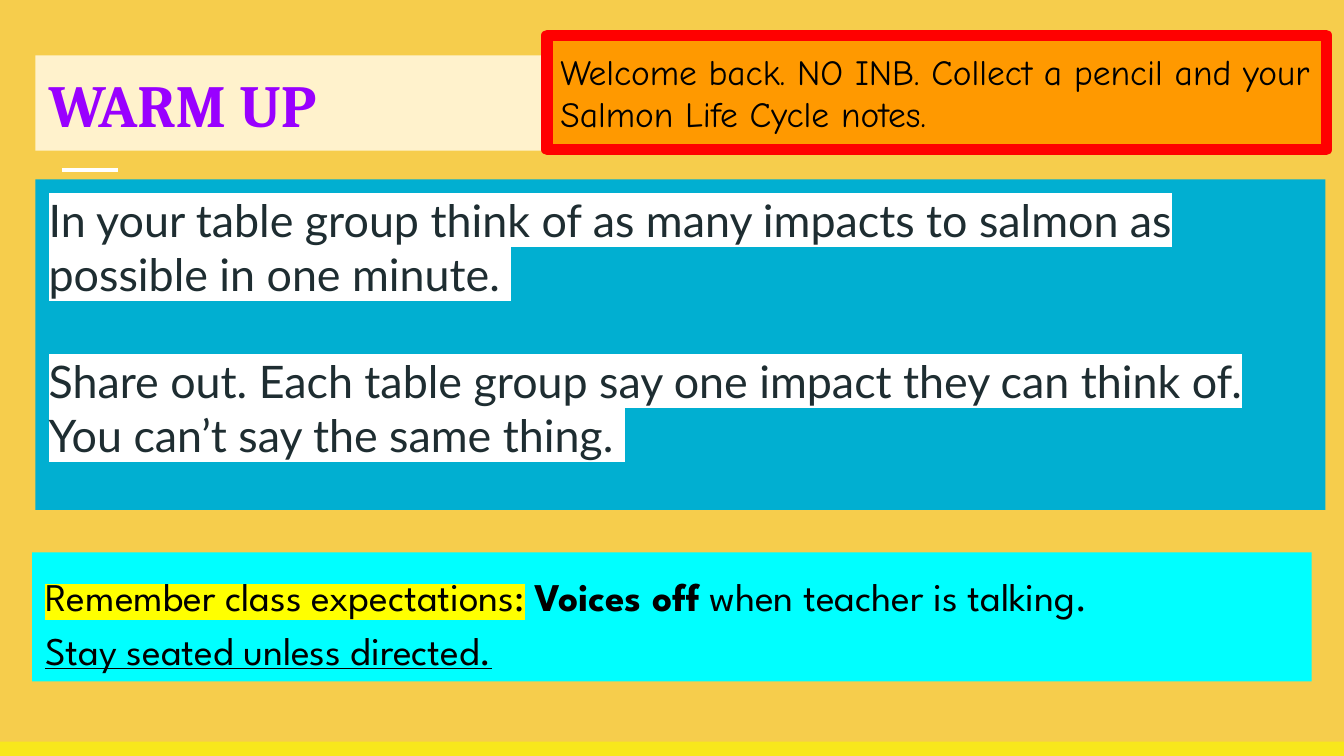
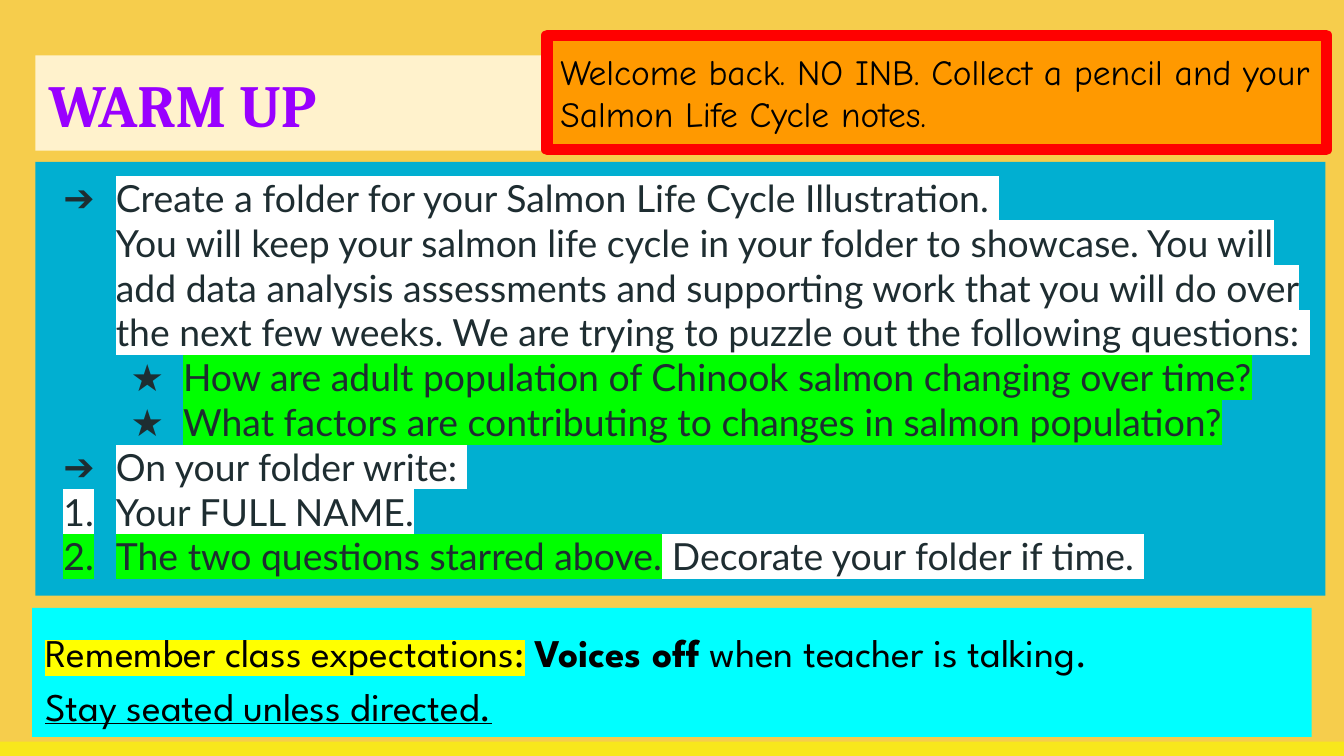
from lxml import etree
from pptx import Presentation
from pptx import util as u
from pptx.dml.color import RGBColor
from pptx.enum import shapes, text
from pptx.oxml import ns

COLORS = {
    "page": "F6CD4C", "band": "F8E71C", "cream": "FFF2CC", "purple": "9900FF",
    "cyan": "00FFFF", "orange": "FF9900", "red": "FF0000", "blue": "01AFD1",
    "ink": "1E2D31", "black": "000000", "white": "FFFFFF", "yellow": "FFFF00",
    "green": "00FF00",
}
STYLES = {
    "title": ("Cambria", 32, "purple"),
    "notice": ("Comic Neue", 19, "black"),
    "footer": ("League Spartan", 21, "black"),
    "prompt": ("Lato", 24, "ink"),
    "steps": ("Lato", 20, "ink"),
}
WIDTH, HEIGHT = 25.4, 14.29
BAND_H = 0.27
LEFT = 0.67
LEVEL_INDENT, HANG = 1.27, 0.99

TITLE = [{"runs": [("WARM UP", {"bold": True})]}]
NOTICE = [{"runs": [("Welcome back. NO INB. Collect a pencil and your Salmon Life Cycle notes.", {})]}]
FOOTER = [
    {"spacing": 1.15, "runs": [
        ("Remember class expectations:", {"mark": "yellow"}),
        (" ", {}),
        ("Voices off", {"bold": True}),
        (" when teacher is talking.", {}),
    ]},
    {"spacing": 1.15, "runs": [("Stay seated unless directed.", {"underline": True})]},
]
WHITE, GREEN = {"mark": "white"}, {"mark": "green"}
SLIDES = [
    {"style": "prompt", "body": (3.39, 6.25), "footer_top": 10.44, "rule": True, "text": [
        {"runs": [("In your table group think of as many impacts to salmon as possible in one minute. ", WHITE)]},
        {"before": 28.8, "runs": [
            ("Share out. Each table group say one impact they can think of. You can’t say the same thing. ", WHITE)]},
    ]},
    {"style": "steps", "body": (3.06, 8.2), "footer_top": 11.49, "rule": False, "text": [
        {"level": 1, "bullet": "➔", "runs": [("Create a folder for your Salmon Life Cycle Illustration. ", WHITE)]},
        {"level": 1, "runs": [
            ("You will keep your salmon life cycle in your folder to showcase. You will add data analysis "
             "assessments and supporting work that you will do over the next few weeks. We are trying to "
             "puzzle out the following questions: ", WHITE)]},
        {"level": 2, "bullet": "★", "runs": [
            ("How are adult population of Chinook salmon changing over time?", GREEN)]},
        {"level": 2, "bullet": "★", "runs": [
            ("What factors are contributing to changes in salmon population?", GREEN)]},
        {"level": 1, "bullet": "➔", "runs": [("On your folder write: ", WHITE)]},
        {"level": 1, "bullet": "1.", "runs": [("Your FULL NAME.", WHITE)]},
        {"level": 1, "bullet": "1.", "runs": [
            ("The two questions starred above.", GREEN), (" Decorate your folder if time. ", WHITE)]},
    ]},
]


def rgb(name):
    return RGBColor.from_string(COLORS[name])


def add_color(parent, tag, name):
    el = etree.SubElement(parent, ns.qn(tag))
    etree.SubElement(el, ns.qn("a:srgbClr")).set("val", COLORS[name])
    return el


def indent(p, level, bullet):
    pPr = p._p.get_or_add_pPr()
    pPr.set("marL", str(u.Cm(LEVEL_INDENT * level)))
    pPr.set("indent", str(-u.Cm(HANG) if bullet else 0))
    if level > 1:
        p.level = level - 1
    if not bullet:
        etree.SubElement(pPr, ns.qn("a:buNone"))
        return
    add_color(pPr, "a:buClr", "ink")
    etree.SubElement(pPr, ns.qn("a:buFont")).set("typeface", "Lato")
    if bullet == "1.":
        etree.SubElement(pPr, ns.qn("a:buAutoNum")).set("type", "arabicPeriod")
    else:
        etree.SubElement(pPr, ns.qn("a:buChar")).set("char", bullet)


def add_run(p, content, style, fmt):
    font, size, color = STYLES[style]
    r = p.add_run()
    r.text = content
    r.font.size = u.Pt(size)
    r.font.bold = fmt.get("bold", False)
    r.font.underline = fmt.get("underline")
    r.font.color.rgb = rgb(color)
    if "mark" in fmt:
        add_color(r._r.rPr, "a:highlight", fmt["mark"])
    r.font.name = font


def add_box(s, left, top, width, height, fill, line=None):
    sp = s.shapes.add_shape(shapes.MSO_SHAPE.RECTANGLE, u.Cm(left), u.Cm(top), u.Cm(width), u.Cm(height))
    sp.shadow.inherit = False
    sp.fill.solid()
    sp.fill.fore_color.rgb = rgb(fill)
    if line:
        sp.line.color.rgb = rgb(line)
        sp.line.width = u.Pt(6)
        etree.SubElement(sp.line._ln, ns.qn("a:round"))
    else:
        sp.line.fill.background()
    return sp


def write(sp, paragraphs, style, anchor=text.MSO_ANCHOR.TOP):
    tf = sp.text_frame
    tf.word_wrap = True
    tf.vertical_anchor = anchor
    tf.margin_left = tf.margin_right = tf.margin_top = tf.margin_bottom = u.Cm(0.25)
    for i, para in enumerate(paragraphs):
        p = tf.add_paragraph() if i else tf.paragraphs[0]
        if "level" in para:
            indent(p, para["level"], para.get("bullet"))
        p.alignment = text.PP_ALIGN.LEFT
        p.line_spacing = para.get("spacing")
        if "before" in para:
            p.space_before = u.Pt(para["before"])
        for content, fmt in para["runs"]:
            add_run(p, content, style, fmt)


def add_rule(s):
    c = s.shapes.add_connector(shapes.MSO_CONNECTOR.STRAIGHT, u.Cm(1.17), u.Cm(3.21), u.Cm(2.23), u.Cm(3.21))
    c.line.color.rgb = rgb("white")
    c.line.width = u.Pt(2.25)
    etree.SubElement(c._element.spPr, ns.qn("a:effectLst"))


def build_slide(prs, data):
    s = prs.slides.add_slide(prs.slide_layouts[6])
    s.background.fill.solid()
    s.background.fill.fore_color.rgb = rgb("page")
    add_box(s, 0, HEIGHT - BAND_H, WIDTH, BAND_H, "band")
    if data["rule"]:
        add_rule(s)
    middle = text.MSO_ANCHOR.MIDDLE
    write(add_box(s, LEFT, 1.05, 24.18, 1.8, "cream"), TITLE, "title", middle)
    write(add_box(s, 0.61, data["footer_top"], 24.18, 2.44, "cyan"), FOOTER, "footer")
    write(add_box(s, 10.34, 0.67, 14.73, 2.16, "orange", "red"), NOTICE, "notice", middle)
    top, height = data["body"]
    write(add_box(s, LEFT, top, 24.38, height, "blue"), data["text"], data["style"])


def main():
    prs = Presentation()
    prs.slide_width, prs.slide_height = u.Cm(WIDTH), u.Cm(HEIGHT)
    for data in SLIDES:
        build_slide(prs, data)
    prs.save("out.pptx")


if __name__ == "__main__":
    main()
